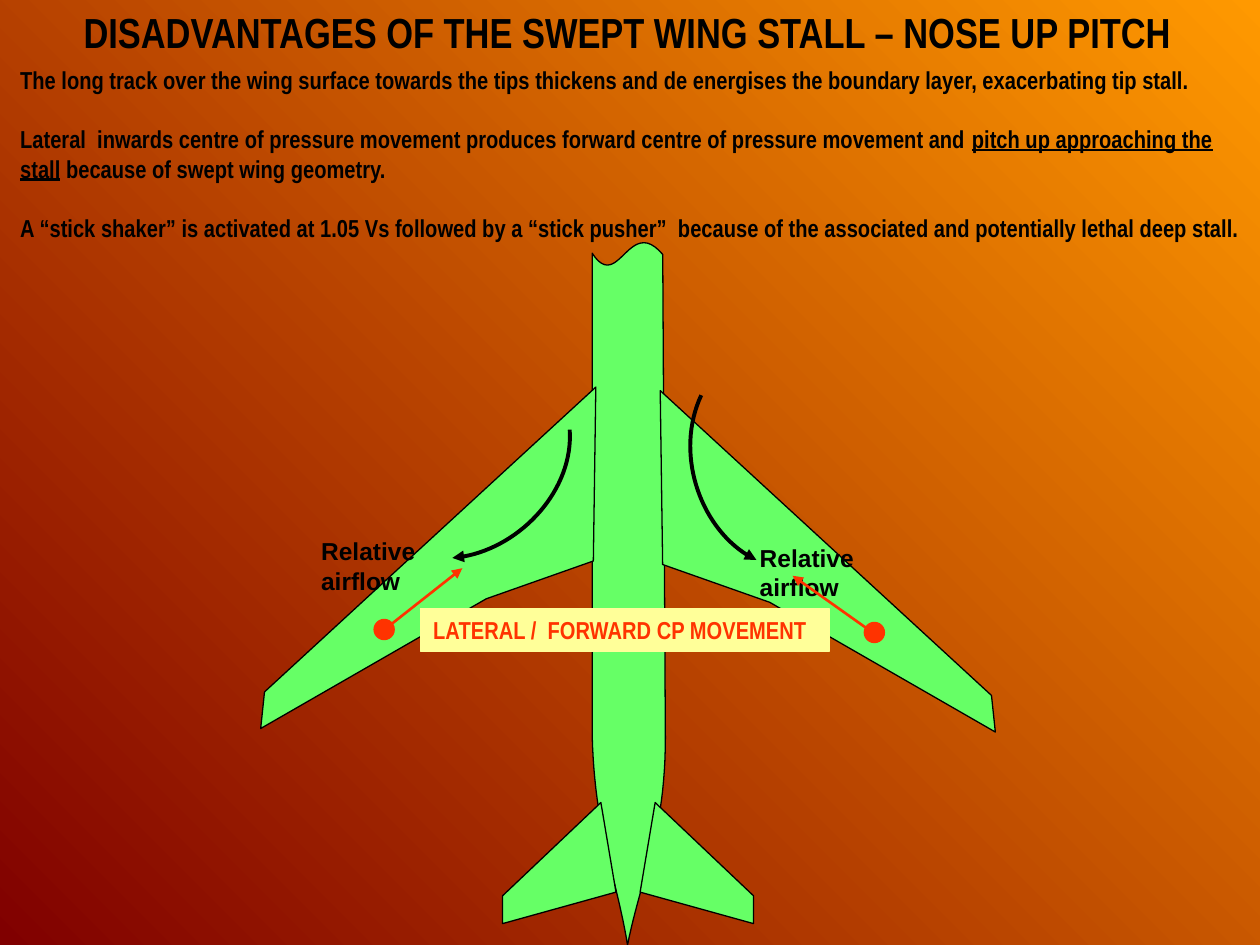
import pptx
import pptx.dml.color
import pptx.enum.shapes
import pptx.enum.text
import pptx.oxml.ns
import pptx.util
from lxml import etree

Pt = pptx.util.Pt
RGBColor = pptx.dml.color.RGBColor
qn = pptx.oxml.ns.qn
SHAPE = pptx.enum.shapes.MSO_SHAPE
CONNECTOR = pptx.enum.shapes.MSO_CONNECTOR
ALIGN = pptx.enum.text.PP_ALIGN

BLACK = RGBColor(0x00, 0x00, 0x00)
GREEN = RGBColor(0x66, 0xFF, 0x66)
RED = RGBColor(0xFF, 0x33, 0x00)
CREAM = RGBColor(0xFF, 0xFF, 0x99)
ORANGE = RGBColor(0xFF, 0x99, 0x00)
MAROON = RGBColor(0x80, 0x00, 0x00)

MIRROR_SUM = 717.8
LEFT_WING_RISE = 2

WING = [(377.3, 223.2), (566.6, 397.4), (568.8, 418.3), (439.9, 344.2), (378.7, 322.6)]
TAILPLANE = [(374.4, 458.6), (430.6, 511.9), (430.6, 527.8), (365.8, 509.8)]
NOSE = [(378.7, 145.4), (359.3, 122.4), (353.5, 167.8), (338.4, 144.7)]
LEFT_TAIL = [(338.4, 420.5), (339.8, 474.5), (352.1, 500.4), (358.6, 540)]
RIGHT_TAIL = [(358.6, 540), (366.5, 500.4), (380.2, 475.9), (380.2, 421.9)]

BODY = [
    [("The long track over the wing surface towards the tips thickens and de energises "
      "the boundary layer, exacerbating tip stall.", False)],
    [("Lateral  inwards centre of pressure movement produces forward centre of pressure "
      "movement and ", False),
     ("pitch up approaching the stall", True),
     (" because of swept wing geometry.", False)],
    [("A “stick shaker” is activated at 1.05 Vs followed by a “stick pusher”  because of "
      "the associated and potentially lethal deep stall.", False)],
]


def set_background(s):
    fill = s.background.fill
    fill.gradient()
    fill.gradient_angle = 225
    for stop, color in zip(fill.gradient_stops, (ORANGE, MAROON)):
        stop.color.rgb = color


def place(shape, left, top, width, height):
    shape.left, shape.top = Pt(left), Pt(top)
    shape.width, shape.height = Pt(width), Pt(height)


def write_text(shape, paragraphs, size, font, color=BLACK, align=ALIGN.LEFT, gap=0):
    tf = shape.text_frame
    tf.word_wrap = True
    tf.auto_size = pptx.enum.text.MSO_AUTO_SIZE.NONE
    tf.vertical_anchor = pptx.enum.text.MSO_ANCHOR.TOP
    for i, runs in enumerate(paragraphs):
        p = tf.add_paragraph() if i else tf.paragraphs[0]
        pPr = p._p.get_or_add_pPr()
        pPr.set("marL", "0")
        pPr.set("indent", "0")
        etree.SubElement(pPr, qn("a:buNone"))
        p.alignment = align
        p.space_before = Pt(gap if i else 0)
        for text, underline in runs:
            r = p.add_run()
            r.text = text
            r.font.name = font
            r.font.size = Pt(size)
            r.font.bold = True
            r.font.color.rgb = color
            if underline:
                r.font.underline = True


def style_shape(shape, fill, line):
    shape.shadow.inherit = False
    shape.fill.solid()
    shape.fill.fore_color.rgb = fill
    shape.line.color.rgb = line
    shape.line.width = Pt(0.75)


def add_box(s, kind, left, top, width, height, color):
    sp = s.shapes.add_shape(kind, Pt(left), Pt(top), Pt(width), Pt(height))
    style_shape(sp, color, color)
    return sp


def add_outline(s, points):
    emu = [(Pt(x), Pt(y)) for x, y in points]
    builder = s.shapes.build_freeform(*emu[0], scale=1.0)
    builder.add_line_segments(emu[1:], close=True)
    style_shape(builder.convert_to_shape(), GREEN, BLACK)


def mirror(points, rise=0):
    return [(MIRROR_SUM - x, y - rise) for x, y in points]


def bezier(controls, steps=24):
    points = []
    for i in range(steps + 1):
        t = i / steps
        weights = ((1 - t) ** 3, 3 * t * (1 - t) ** 2, 3 * t * t * (1 - t), t ** 3)
        points.append(tuple(sum(w * c[axis] for w, c in zip(weights, controls))
                            for axis in (0, 1)))
    return points


def add_arrow(s, kind, start, end, color, width, arrow_end="tailEnd"):
    c = s.shapes.add_connector(kind, *map(Pt, start + end))
    c.line.color.rgb = color
    c.line.width = Pt(width)
    etree.SubElement(c.line._get_or_add_ln(), qn("a:" + arrow_end), type="triangle")
    etree.SubElement(c._element.spPr, qn("a:effectLst"))
    return c


def add_flow_arc(s, left, top, rotation, arrow_end):
    c = add_arrow(s, CONNECTOR.CURVE, (left, top), (left + 68.4, top + 72), BLACK, 2.25, arrow_end)
    spPr = c._element.spPr
    spPr.find(qn("a:prstGeom")).set("prst", "curvedConnector2")
    spPr.find(qn("a:xfrm")).set("rot", str(rotation * 60000))


def add_airflow_label(s, left, top):
    sp = s.shapes.add_textbox(Pt(left), Pt(top), Pt(109.4), Pt(24))
    write_text(sp, [[("Relative airflow", False)]], 14, "Arial")


def add_pressure_centre(s, left, top, start, end):
    add_box(s, SHAPE.OVAL, left, top, 11.5, 11.5, RED)
    add_arrow(s, CONNECTOR.STRAIGHT, start, end, RED, 1.5)


def main():
    prs = pptx.Presentation()
    prs.slide_width, prs.slide_height = Pt(720), Pt(540)
    s = prs.slides.add_slide(prs.slide_layouts[1])
    set_background(s)

    title, body = s.shapes.title, s.placeholders[1]
    place(title, 1.4, 0, 714.2, 36)
    write_text(title, [[("DISADVANTAGES OF THE SWEPT WING STALL – NOSE UP PITCH", False)]],
               24, "Arial Narrow", align=ALIGN.CENTER)
    place(body, 4.3, 33.8, 712.8, 108)
    write_text(body, BODY, 14, "Arial Narrow", gap=16.8)

    add_outline(s, bezier(NOSE) + bezier(LEFT_TAIL) + bezier(RIGHT_TAIL))
    for part in (WING, mirror(WING, LEFT_WING_RISE), mirror(TAILPLANE), TAILPLANE):
        add_outline(s, part)

    add_airflow_label(s, 427, 306.7)
    add_airflow_label(s, 176.4, 303)
    add_flow_arc(s, 257.8, 246.2, 86, "tailEnd")
    add_flow_arc(s, 382.3, 236.9, 205, "headEnd")

    add_pressure_centre(s, 213.8, 354, (220.3, 359.3), (264.2, 324.7))
    add_pressure_centre(s, 493.9, 355.7, (499.7, 362.2), (452.9, 329))

    banner = add_box(s, SHAPE.RECTANGLE, 240.5, 347.8, 233.3, 24.5, CREAM)
    write_text(banner, [[("LATERAL /  FORWARD CP MOVEMENT", False)]], 14, "Arial Narrow", RED)

    prs.save("out.pptx")


if __name__ == "__main__":
    main()
